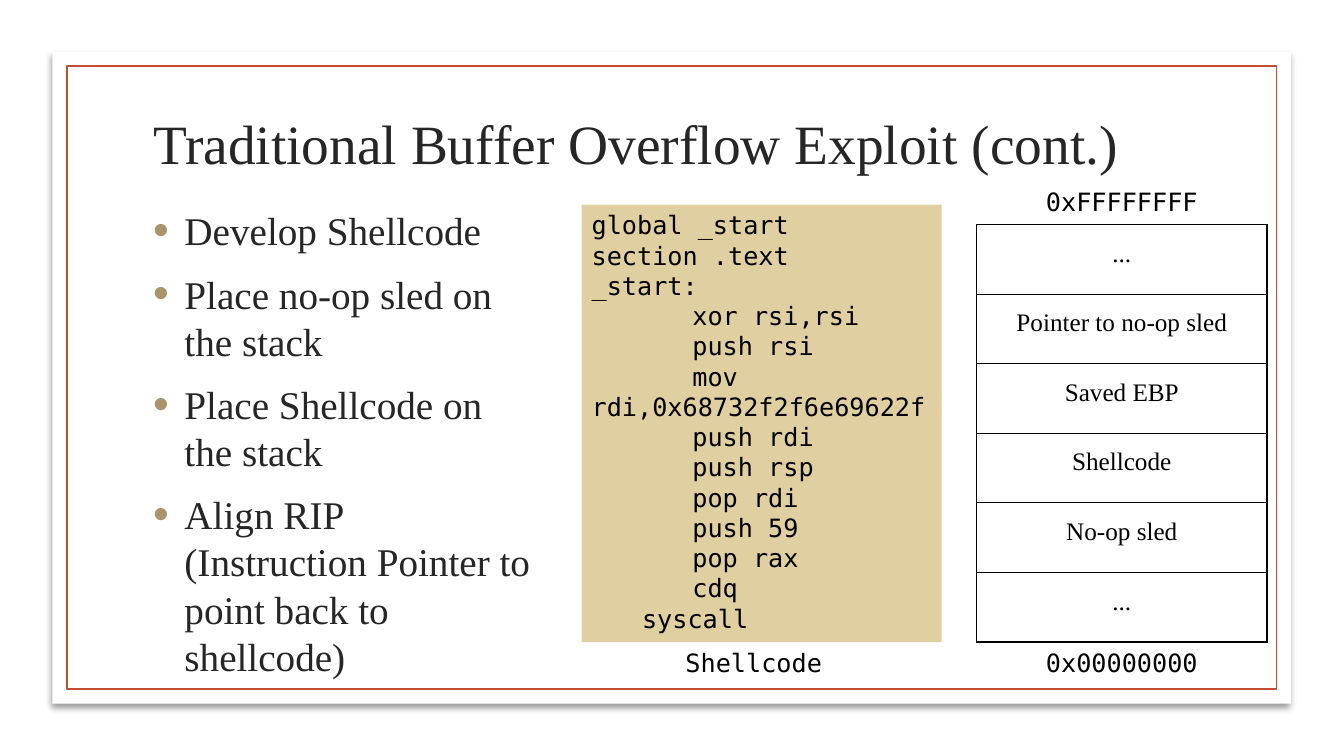
import pptx
import pptx.dml.color
import pptx.enum.shapes
import pptx.enum.text
import pptx.oxml
import pptx.oxml.ns
import pptx.util
from pptx.dml.color import RGBColor
from pptx.util import Cm

WHITE = RGBColor(0xFF, 0xFF, 0xFF)
BLACK = RGBColor(0x00, 0x00, 0x00)
INK = RGBColor(0x26, 0x26, 0x26)
RUST = RGBColor(0xC0, 0x4F, 0x32)
SAND = RGBColor(0xE0, 0xCF, 0xA1)
BULLET_TAN = RGBColor(0xAB, 0x94, 0x6B)

SERIF = "Times New Roman"
MONO = "DejaVu Sans Mono"
LABEL_SIZE = 18
LABEL_WIDTH, LABEL_HEIGHT = 5.84, 1.02

TITLE = "Traditional Buffer Overflow Exploit (cont.)"
STEPS = [
    "Develop Shellcode",
    "Place no-op sled on the stack",
    "Place Shellcode on the stack",
    "Align RIP (Instruction Pointer to point back to shellcode)",
]
CODE = """global _start
section .text
_start:
\txor rsi,rsi
\tpush rsi
\tmov rdi,0x68732f2f6e69622f
\tpush rdi
\tpush rsp
\tpop rdi
\tpush 59
\tpop rax
\tcdq
\tsyscall"""
STACK = ["...", "Pointer to no-op sled", "Saved EBP", "Shellcode", "No-op sled", "..."]


def xml(markup):
    """Parse one DrawingML element."""
    tag, rest = markup.split(" ", 1)
    return pptx.oxml.parse_xml(f"{tag} {pptx.oxml.ns.nsdecls('a')} {rest}")


def add_run(paragraph, text, font, size, color):
    run = paragraph.add_run()
    run.text = text
    run.font.name = font
    run.font.size = pptx.util.Pt(size)
    run.font.color.rgb = color


def add_rectangle(slide, left, top, width, height, fill=None, line=None):
    rectangle = slide.shapes.add_shape(
        pptx.enum.shapes.MSO_SHAPE.RECTANGLE, Cm(left), Cm(top), Cm(width), Cm(height))
    rectangle.shadow.inherit = False
    if fill is None:
        rectangle.fill.background()
    else:
        rectangle.fill.solid()
        rectangle.fill.fore_color.rgb = fill
    if line is None:
        rectangle.line.fill.background()
    else:
        rectangle.line.color.rgb = line
        rectangle.line.width = pptx.util.Pt(1.25)
    return rectangle


def add_text_frame(slide, left, top, width, height):
    frame = slide.shapes.add_textbox(Cm(left), Cm(top), Cm(width), Cm(height)).text_frame
    frame.word_wrap = True
    return frame


def add_label(slide, center, top, text):
    frame = add_text_frame(slide, center - LABEL_WIDTH / 2, top, LABEL_WIDTH, LABEL_HEIGHT)
    label = frame.paragraphs[0]
    label.alignment = pptx.enum.text.PP_ALIGN.CENTER
    add_run(label, text, MONO, LABEL_SIZE, BLACK)


def add_card(slide, left, top, width, height):
    # White sheet with a soft shadow below it
    sheet = add_rectangle(slide, left, top, width, height, fill=WHITE)
    effects = sheet._element.spPr.find(pptx.oxml.ns.qn("a:effectLst"))
    effects.append(xml(
        '<a:outerShdw blurRad="50800" dist="38100" dir="5400000" algn="t" rotWithShape="0">'
        '<a:srgbClr val="000000"><a:alpha val="40000"/></a:srgbClr></a:outerShdw>'))
    # Thin frame inside the sheet
    inset = 0.37
    add_rectangle(slide, left + inset, top + inset,
                  width - 2 * inset, height - 2 * inset, line=RUST)


def add_title(slide, left, top, width, height):
    frame = add_text_frame(slide, left, top, width, height)
    frame.vertical_anchor = pptx.enum.text.MSO_ANCHOR.MIDDLE
    add_run(frame.paragraphs[0], TITLE, SERIF, 39.6, INK)


def add_steps(slide, left, top, width, height):
    frame = add_text_frame(slide, left, top, width, height)
    for index, step in enumerate(STEPS):
        paragraph = frame.paragraphs[0] if index == 0 else frame.add_paragraph()
        properties = paragraph._p.get_or_add_pPr()
        properties.set("marL", str(Cm(0.79)))
        properties.set("indent", str(-Cm(0.79)))
        for bullet in (f'<a:buClr ><a:srgbClr val="{BULLET_TAN}"/></a:buClr>',
                       '<a:buSzPct val="115000"/>',
                       '<a:buFont typeface="Arial"/>',
                       '<a:buChar char="•"/>'):
            properties.append(xml(bullet))
        if index:
            paragraph.space_before = pptx.util.Pt(5.6)
        paragraph.space_after = pptx.util.Pt(6)
        add_run(paragraph, step, SERIF, 28, INK)


def add_shellcode(slide, left, top, width, height):
    # Listing
    frame = add_rectangle(slide, left, top, width, height, fill=SAND).text_frame
    frame.word_wrap = True
    frame.vertical_anchor = pptx.enum.text.MSO_ANCHOR.TOP
    lines = CODE.split("\n")
    for index, line in enumerate(lines):
        paragraph = frame.paragraphs[0] if index == 0 else frame.add_paragraph()
        tab = Cm(1.27 if index == len(lines) - 1 else 2.54)
        paragraph._p.get_or_add_pPr().append(
            xml(f'<a:tabLst ><a:tab pos="{tab}" algn="l"/></a:tabLst>'))
        paragraph.alignment = pptx.enum.text.PP_ALIGN.LEFT
        add_run(paragraph, line, MONO, LABEL_SIZE, BLACK)
    # Caption
    add_label(slide, left + width / 2 - 0.2, top + height, "Shellcode")


def add_stack(slide, left, top, width, height):
    table = slide.shapes.add_table(
        len(STACK), 1, Cm(left), Cm(top), Cm(width), Cm(height)).table
    table.first_row = table.horz_banding = False
    for row, content in enumerate(STACK):
        table.rows[row].height = Cm(height / len(STACK))
        cell = table.cell(row, 0)
        cell.margin_left = cell.margin_right = Cm(0.38)
        cell.margin_top = cell.margin_bottom = Cm(0.38)
        # Borders go before the fill in the cell properties
        properties = cell._tc.get_or_add_tcPr()
        for side in "LRTB":
            properties.append(xml(
                f'<a:ln{side} w="12700"><a:solidFill><a:srgbClr val="{BLACK}"/>'
                f'</a:solidFill></a:ln{side}>'))
        cell.fill.background()
        paragraph = cell.text_frame.paragraphs[0]
        paragraph.alignment = pptx.enum.text.PP_ALIGN.CENTER
        add_run(paragraph, content, SERIF, LABEL_SIZE, BLACK)
    # Addresses at both ends
    center = left + width / 2
    add_label(slide, center, top - 1.09, "0xFFFFFFFF")
    add_label(slide, center, top + height, "0x00000000")


def main():
    presentation = pptx.Presentation()
    presentation.slide_width = Cm(33.87)
    presentation.slide_height = Cm(19.05)
    slide = presentation.slides.add_slide(presentation.slide_layouts[6])
    add_card(slide, 1.32, 1.3, 31.22, 16.43)
    add_title(slide, 3.61, 2.72, 26.67, 1.75)
    add_steps(slide, 3.61, 5.08, 10.06, 11.07)
    add_shellcode(slide, 14.66, 5.16, 9.07, 11.02)
    add_stack(slide, 24.61, 5.66, 7.32, 10.52)
    presentation.save("out.pptx")


if __name__ == "__main__":
    main()
